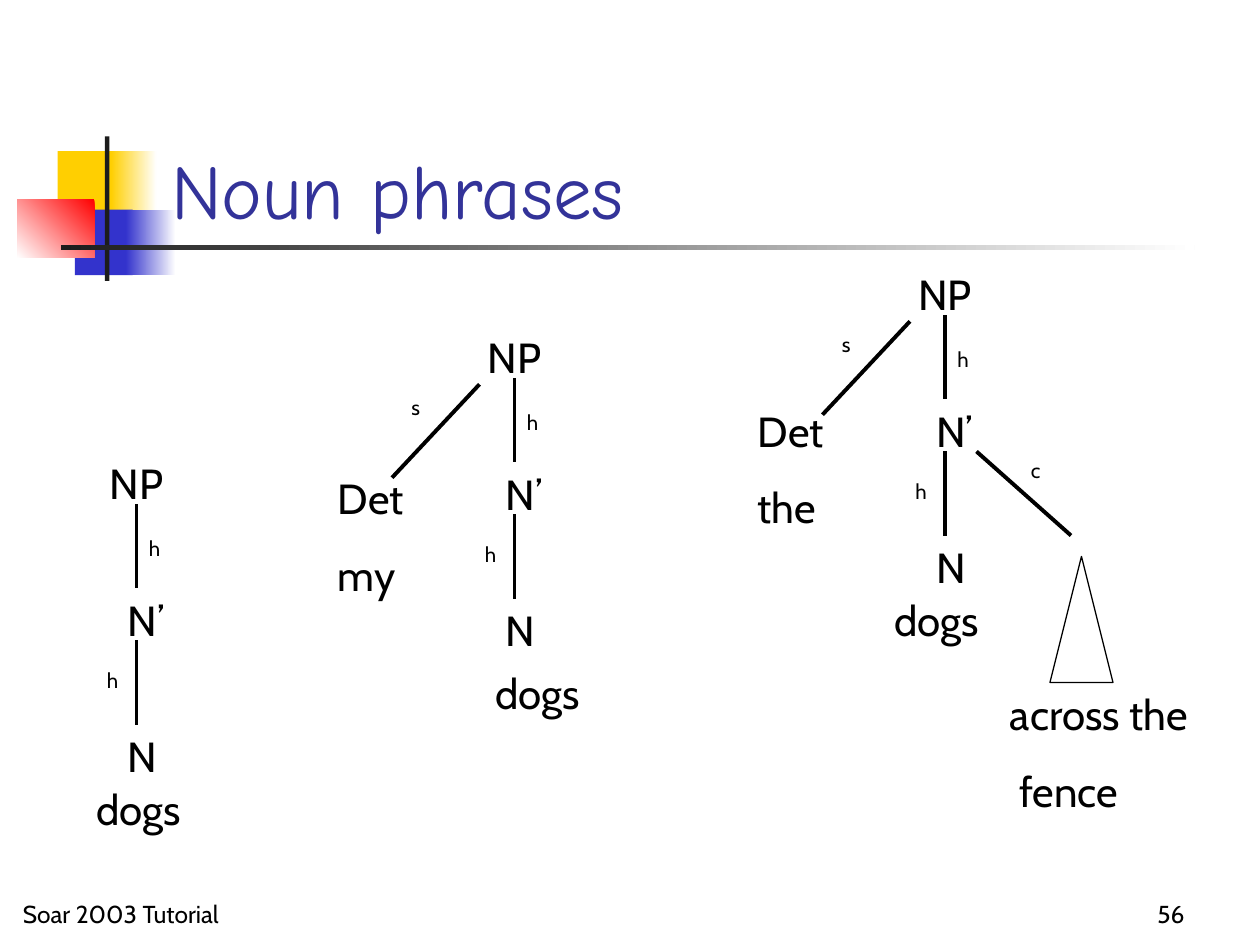
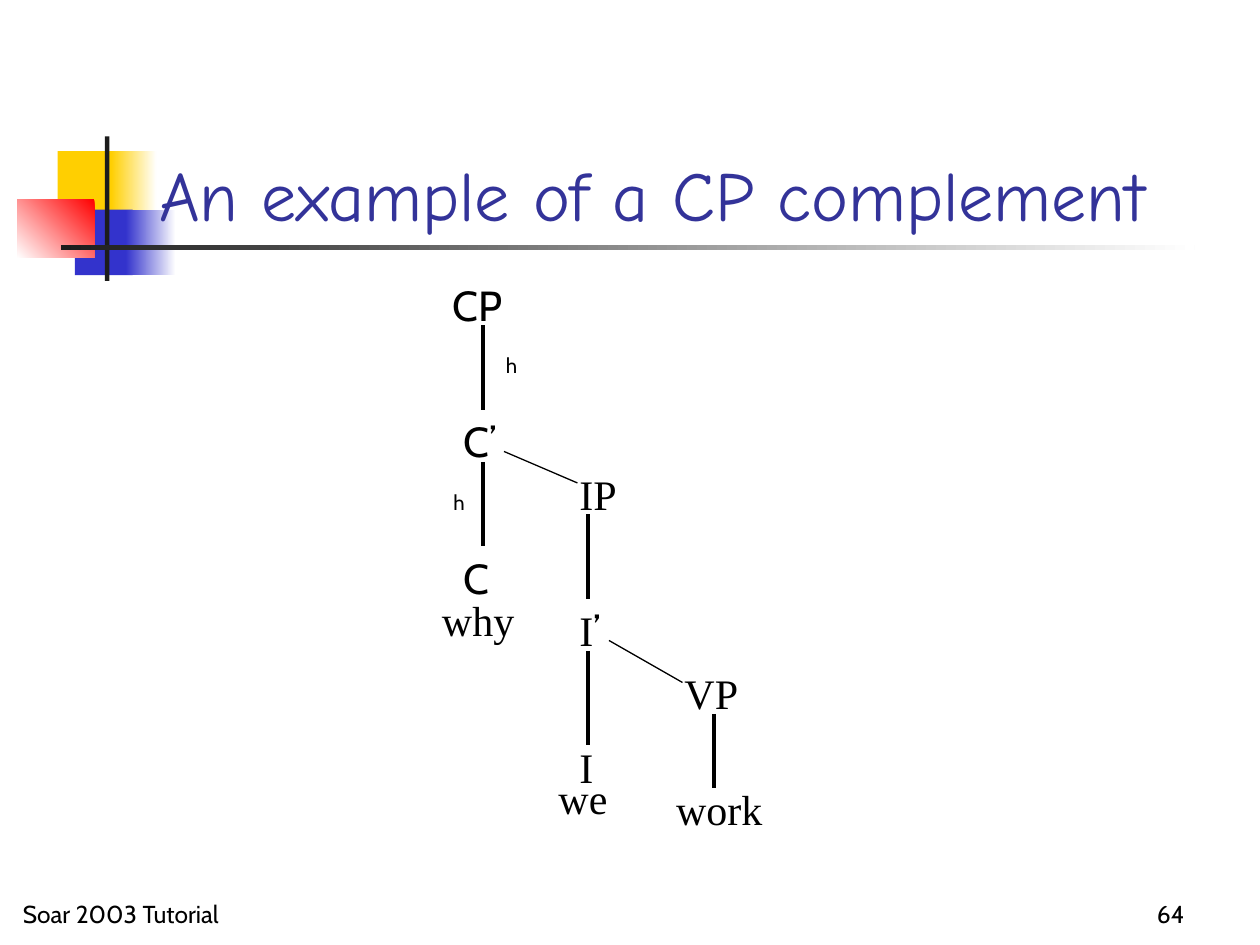
from dataclasses import dataclass
from typing import Any, Optional

from lxml.etree import SubElement
from pptx import Presentation
from pptx.dml.color import RGBColor
from pptx.enum.shapes import MSO_CONNECTOR as Connector, MSO_SHAPE as Shape
from pptx.enum.text import MSO_ANCHOR as Anchor, PP_ALIGN as Align
from pptx.oxml.ns import qn
from pptx.slide import Slide
from pptx.util import Pt

BLACK, WHITE, INK, TITLE_BLUE = "000000", "FFFFFF", "1C1C1C", "333399"
YELLOW, BLUE, RED = "FFCF01", "3333CC", "FF0000"
CABIN, COMIC, TIMES = "Cabin", "Comic Neue", "Times New Roman"
FOOTER = "Soar 2003 Tutorial"


@dataclass
class Block:
    """A filled rectangle; a second colour makes a gradient."""
    left: float
    top: float
    width: float
    height: float
    start: str
    end: Optional[str] = None
    angle: float = 0


@dataclass
class Label:
    """A text box; each paragraph is a list of (text, font) spans."""
    left: float
    top: float
    width: float
    paragraphs: list[list[tuple[str, str]]]
    height: float = 36
    size: float = 24
    color: str = BLACK
    align: Align = Align.LEFT
    anchor: Anchor = Anchor.TOP
    last_indent: float = 0


@dataclass
class Branch:
    """A straight line of a tree."""
    x1: float
    y1: float
    x2: float
    y2: float
    weight: float = 2.25


@dataclass
class Spine:
    """Phrase, bar level and head, one under another, joined by h lines."""
    x: float
    top: float
    category: str
    phrase_shift: float = 0
    node_inset: float = 12
    label_shift: float = 0
    label_drop: float = 44.4


LOGO_BLOCKS = [
    Block(33, 86.4, 34.5, 37.5, YELLOW),
    Block(63.5, 86.4, 26, 37.5, YELLOW, WHITE),
    Block(42.8, 119.8, 33, 37.5, BLUE),
    Block(72, 119.8, 28.5, 37.5, BLUE, WHITE),
    Block(10, 113.8, 44, 33.5, RED, WHITE, 225),
    Block(60, 78, 2.5, 82.6, INK),
    Block(34.7, 140, 648, 2.8, INK, WHITE),
]


def rgb(color: str) -> RGBColor:
    return RGBColor.from_string(color)


def apply(target: Any, formats: dict[str, Any]) -> None:
    for name, value in formats.items():
        setattr(target, name, value)


def words(*lines: str, font: str = CABIN) -> list[list[tuple[str, str]]]:
    return [[(line, font)] for line in lines]


def draw_block(page: Slide, block: Block) -> None:
    shape = page.shapes.add_shape(Shape.RECTANGLE, Pt(block.left), Pt(block.top),
                                  Pt(block.width), Pt(block.height))
    shape.shadow.inherit = False
    shape.line.fill.background()
    if block.end is None:
        shape.fill.solid()
        shape.fill.fore_color.rgb = rgb(block.start)
        return
    shape.fill.gradient()
    shape.fill.gradient_angle = block.angle
    for stop, color in zip(shape.fill.gradient_stops, (block.start, block.end)):
        stop.color.rgb = rgb(color)


def draw_label(page: Slide, label: Label) -> None:
    box = page.shapes.add_textbox(Pt(label.left), Pt(label.top),
                                  Pt(label.width), Pt(label.height))
    frame = box.text_frame
    apply(frame, {"word_wrap": True, "vertical_anchor": label.anchor})
    for index, spans in enumerate(label.paragraphs):
        para = frame.add_paragraph() if index else frame.paragraphs[0]
        para.alignment = label.align
        if index:
            para.space_before = Pt(15)
            if label.last_indent:
                para._p.get_or_add_pPr().set("marL", str(Pt(label.last_indent)))
        for text, font in spans:
            span = para.add_run()
            span.text = text
            apply(span.font, {"name": font, "size": Pt(label.size)})
            span.font.color.rgb = rgb(label.color)


def draw_branch(page: Slide, branch: Branch) -> None:
    line = page.shapes.add_connector(Connector.STRAIGHT, Pt(branch.x1), Pt(branch.y1),
                                     Pt(branch.x2), Pt(branch.y2))
    line.line.width = Pt(branch.weight)
    line.line.color.rgb = rgb(BLACK)
    SubElement(line._element.spPr, qn("a:effectLst"))


def draw_edge_name(page: Slide, left: float, top: float, name: str) -> None:
    draw_label(page, Label(left, top, 24, words(name), height=21.6, size=12))


def draw_spine(page: Slide, spine: Spine) -> None:
    x, top, level, phrase_width = spine.x, spine.top, 78, 60
    draw_label(page, Label(x - phrase_width / 2 + spine.phrase_shift, top, phrase_width,
                           words(spine.category + "P"),
                           align=Align.CENTER, anchor=Anchor.MIDDLE))
    for step, name in enumerate((spine.category + "’", spine.category)):
        start = top + step * level
        draw_branch(page, Branch(x, start + 30, x, start + level))
        draw_label(page, Label(x - spine.node_inset, start + level, 48, words(name)))
    draw_edge_name(page, x + spine.label_shift, top + spine.label_drop, "h")
    draw_edge_name(page, x - 24, top + 120, "h")


def draw_specifier(page: Slide, spine: Spine, word: str, left: float, top: float) -> None:
    x, y = spine.x, spine.top
    draw_branch(page, Branch(x - 20, y + 33.6, x - 70, y + 87))
    draw_edge_name(page, x - 66, y + 36, "s")
    draw_label(page, Label(left, top, 66, words("Det", word), height=80))


def add_page(deck: Any, title: Label, number: str) -> Slide:
    page = deck.slides.add_slide(deck.slide_layouts[6])
    for block in LOGO_BLOCKS:
        draw_block(page, block)
    draw_label(page, title)
    for left, text, align in ((6, FOOTER, Align.LEFT), (534, number, Align.RIGHT)):
        draw_label(page, Label(left, 498, 150, words(text), size=14,
                               align=align, anchor=Anchor.BOTTOM))
    return page


def title_label(left: float, width: float, text: str, size: float) -> Label:
    return Label(left, 48, width, words(text, font=COMIC), height=90, size=size,
                 color=TITLE_BLUE, anchor=Anchor.BOTTOM)


def build_noun_phrases(deck: Any) -> None:
    page = add_page(deck, title_label(90.7, 613, "Noun phrases", 44), "56")
    plain, owned, modified = (Spine(78, 258, "N"), Spine(294, 186, "N"),
                              Spine(540, 150, "N"))
    for spine, left, top in ((plain, 48, 444), (owned, 276, 378), (modified, 504, 336)):
        draw_spine(page, spine)
        draw_label(page, Label(left, top, 78, words("dogs")))
    draw_specifier(page, owned, "my", 186, 266.4)
    draw_specifier(page, modified, "the", 426, 228)

    # Complement of the third phrase
    draw_branch(page, Branch(558, 258, 612, 306))
    draw_edge_name(page, 582, 258, "c")
    triangle = page.shapes.add_shape(Shape.ISOSCELES_TRIANGLE, Pt(600), Pt(318),
                                     Pt(36), Pt(72))
    triangle.shadow.inherit = False
    triangle.fill.background()
    triangle.line.width = Pt(0.75)
    triangle.line.color.rgb = rgb(BLACK)
    draw_label(page, Label(570, 390, 138, words("across the", "fence"),
                           height=80, last_indent=5.5))


def build_complement(deck: Any) -> None:
    page = add_page(deck, title_label(84, 629, "An example of a CP complement", 40), "64")
    draw_spine(page, Spine(276, 156, "C", phrase_shift=-3, node_inset=18,
                           label_shift=6, label_drop=42))

    # Lines of the embedded IP and VP
    for branch in (Branch(288, 258, 330, 276, 0.75), Branch(348, 366, 390, 390, 0.75),
                   Branch(336, 294, 336, 342, 2), Branch(336, 372, 336, 426, 2),
                   Branch(408, 408, 408, 450, 2)):
        draw_branch(page, branch)

    # Nodes and words
    for left, top, width, text in ((245.5, 336, 66, "why"), (324, 264, 42, "IP"),
                                   (324, 420, 30, "I"), (312, 438, 54, "we"),
                                   (384, 378, 48, "VP")):
        draw_label(page, Label(left, top, width, words(text, font=TIMES)))
    draw_label(page, Label(324, 342, 30, [[("I", TIMES), ("’", CABIN)]]))
    draw_label(page, Label(372, 444, 78, words("work", font=TIMES), align=Align.CENTER))


def main() -> None:
    deck = Presentation()
    apply(deck, {"slide_width": Pt(720), "slide_height": Pt(540)})
    build_noun_phrases(deck)
    build_complement(deck)
    deck.save("out.pptx")


if __name__ == "__main__":
    main()
